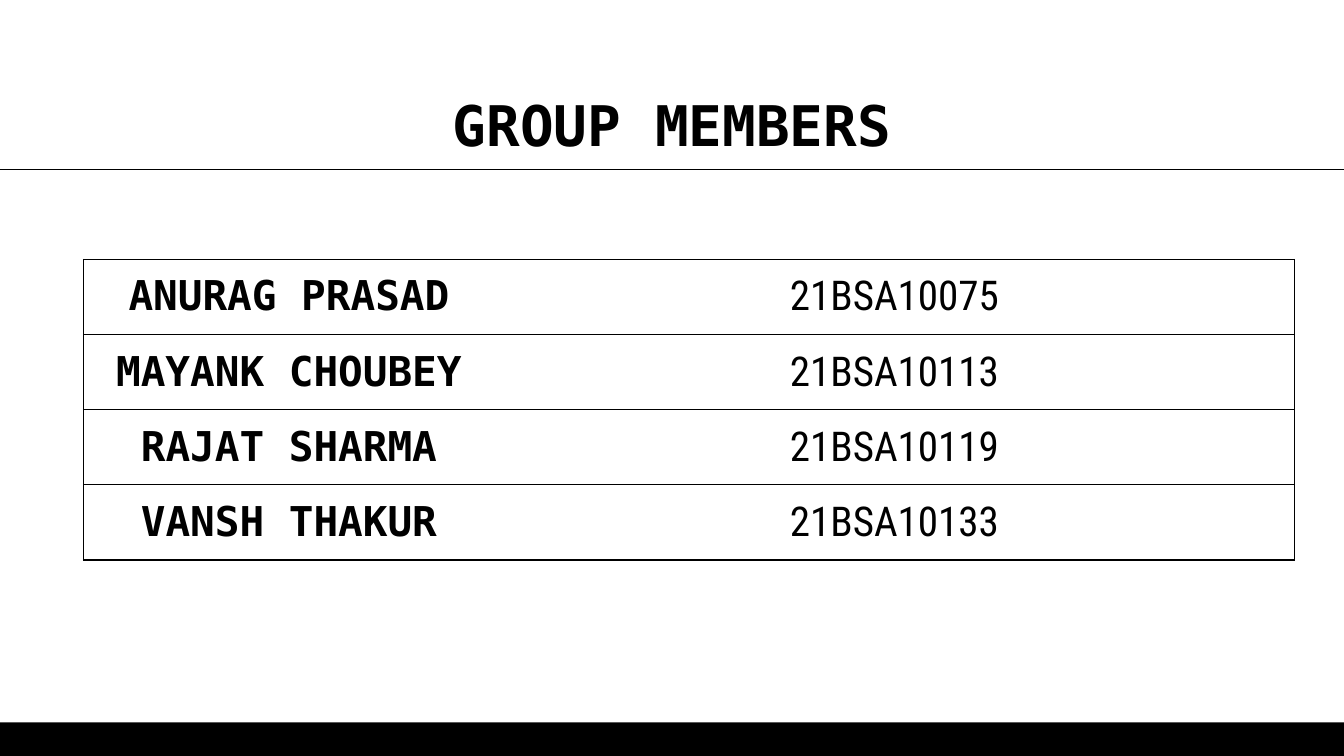
from lxml import etree
from pptx import Presentation
from pptx.dml.color import RGBColor
from pptx.enum import shapes, text
from pptx.oxml import ns
from pptx.util import Inches, Pt

TITLE = "GROUP MEMBERS"
MEMBERS = [
    ("ANURAG PRASAD", "21BSA10075"),
    ("MAYANK CHOUBEY", "21BSA10113"),
    ("RAJAT SHARMA", "21BSA10119"),
    ("VANSH THAKUR", "21BSA10133"),
]
THEME = dict(ink="000000", paper="FFFFFF", head=30, body=22, line=0.75,
             mono="DejaVu Sans Mono", sans="Roboto Condensed")
WIDE = 10
HIGH = WIDE * 9 / 16
COLS = (3.06, 5.95)
ROW = 0.38  # least height; rows grow to fit their text
FOOT = 0.25
RULE = 1.26
PAD = Inches(0.1)
INK = RGBColor.from_string(THEME["ink"])


def write(frame, words, face, size, bold):
    frame.text = words
    para = frame.paragraphs[0]
    para.alignment = text.PP_ALIGN.CENTER
    font = para.font
    font.name, font.size, font.bold = face, Pt(size), bold
    font.color.rgb = INK


def pad(box):
    box.margin_left = box.margin_right = PAD
    box.margin_top = box.margin_bottom = PAD


def edge(cell, sides):
    """Draw the named sides (L, R, T, B) of a cell and hide the others."""
    props = cell._tc.get_or_add_tcPr()
    for spot, side in enumerate("LRTB"):
        line = etree.Element(ns.qn(f"a:ln{side}"), w=str(Pt(THEME["line"])))
        if side in sides:
            fill = etree.SubElement(line, ns.qn("a:solidFill"))
            etree.SubElement(fill, ns.qn("a:srgbClr"), val=THEME["ink"])
        else:
            etree.SubElement(line, ns.qn("a:noFill"))
        props.insert(spot, line)


def add_title(slide):
    title = slide.shapes.title
    title.left, title.top = Inches(0.78), Inches(0.59)
    title.width, title.height = Inches(8.44), Inches(0.67)
    frame = title.text_frame
    pad(frame)
    frame.vertical_anchor = text.MSO_ANCHOR.MIDDLE
    frame.auto_size = text.MSO_AUTO_SIZE.NONE
    write(frame, TITLE, THEME["mono"], THEME["head"], True)


def add_foot(slide):
    foot = slide.shapes.add_shape(
        shapes.MSO_SHAPE.RECTANGLE, 0, Inches(HIGH - FOOT),
        Inches(WIDE), Inches(FOOT))
    foot.shadow.inherit = False
    foot.fill.solid()
    foot.fill.fore_color.rgb = INK
    foot.line.fill.background()


def add_members(slide):
    table = slide.shapes.add_table(
        len(MEMBERS), len(COLS), Inches(0.62), Inches(1.93),
        Inches(sum(COLS)), Inches(ROW * len(MEMBERS))).table
    table.first_row = table.horz_banding = False
    for col, wide in zip(table.columns, COLS):
        col.width = Inches(wide)
    looks = ((THEME["mono"], True, "LTB"), (THEME["sans"], False, "RTB"))
    for row, member in zip(table.rows, MEMBERS):
        row.height = Inches(ROW)
        for cell, words, (face, bold, sides) in zip(row.cells, member, looks):
            pad(cell)
            cell.fill.background()
            write(cell.text_frame, words, face, THEME["body"], bold)
            edge(cell, sides)


def add_rule(slide):
    rule = slide.shapes.add_connector(
        shapes.MSO_CONNECTOR.STRAIGHT, Inches(-0.02), Inches(RULE),
        Inches(WIDE + 0.02), Inches(RULE))
    rule.line.color.rgb = INK
    rule.line.width = Pt(THEME["line"])
    etree.SubElement(rule._element.spPr, ns.qn("a:effectLst"))


def main():
    deck = Presentation()
    deck.slide_width, deck.slide_height = Inches(WIDE), Inches(HIGH)
    slide = deck.slides.add_slide(deck.slide_layouts[5])
    back = slide.background.fill
    back.solid()
    back.fore_color.rgb = RGBColor.from_string(THEME["paper"])
    add_foot(slide)
    add_title(slide)
    add_members(slide)
    add_rule(slide)
    deck.save("out.pptx")


if __name__ == "__main__":
    main()
